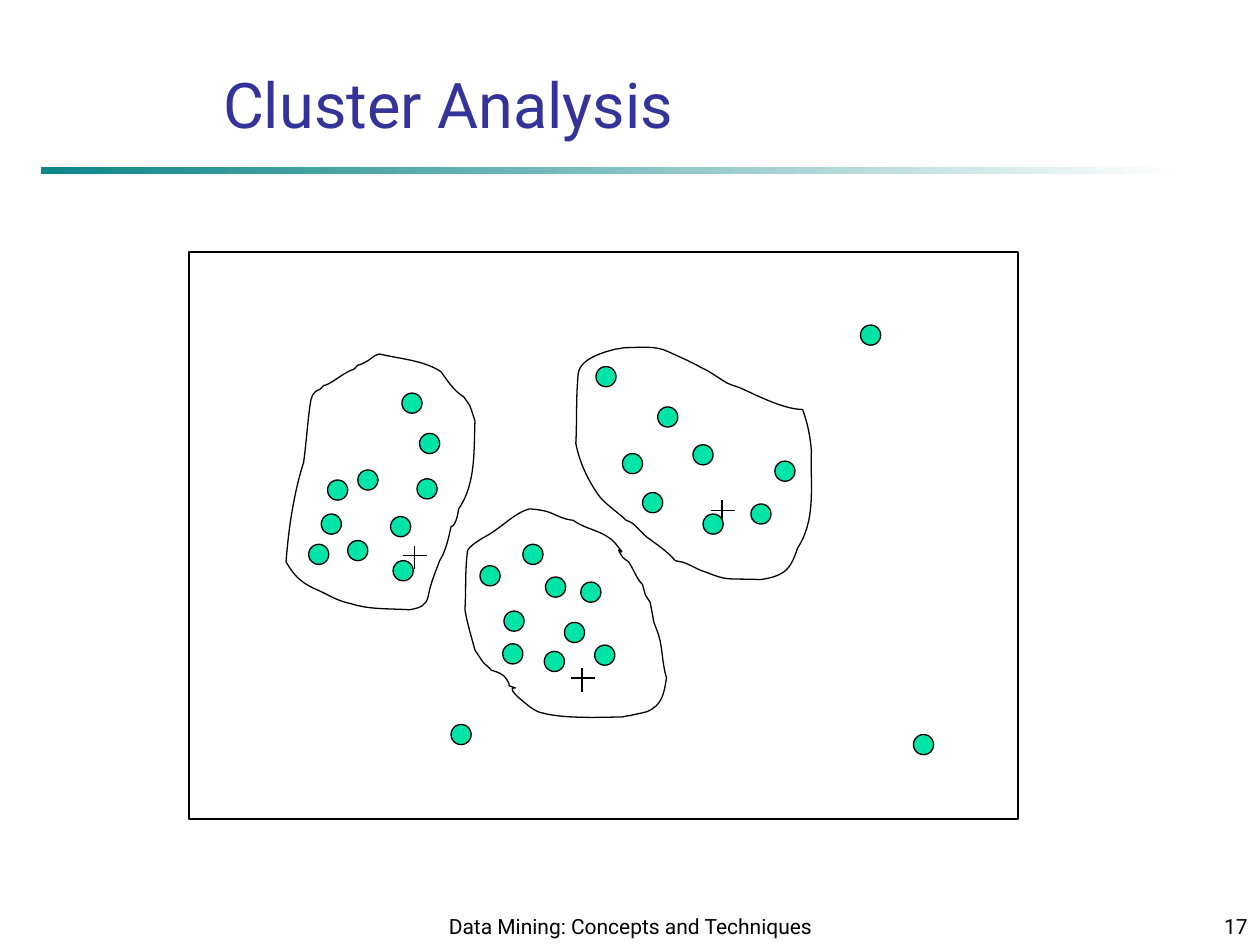
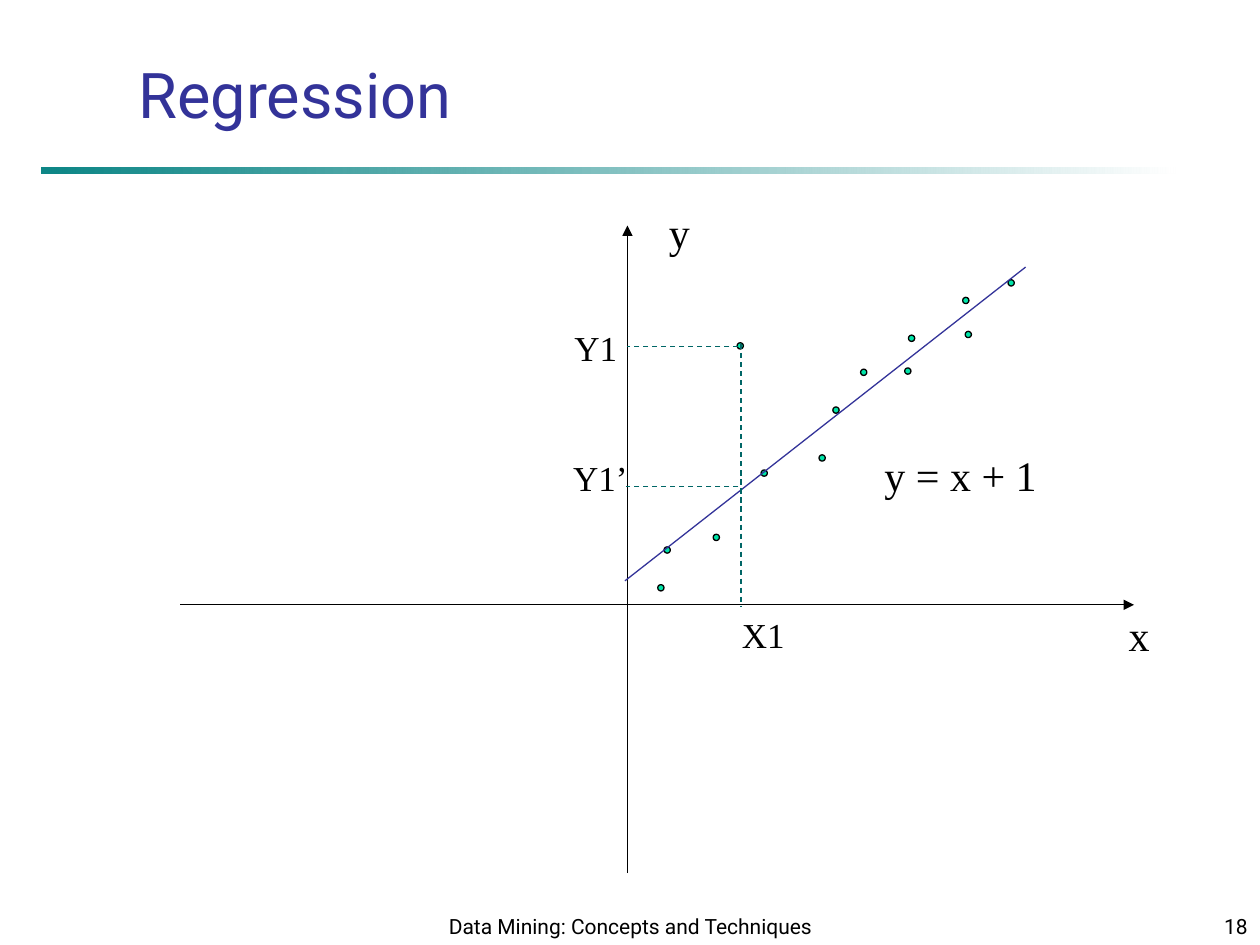
from dataclasses import dataclass

from lxml.etree import SubElement
from pptx import Presentation
from pptx.dml.color import RGBColor as RGB
from pptx.enum.dml import MSO_LINE
from pptx.enum.shapes import MSO_CONNECTOR as CONN, MSO_SHAPE as SHAPE
from pptx.enum.text import MSO_ANCHOR as ANCHOR, MSO_AUTO_SIZE as FIT, PP_ALIGN as ALIGN
from pptx.oxml.ns import qn
from pptx.util import Pt

PX = 9144


@dataclass(frozen=True)
class Theme:
    title: RGB = RGB.from_string("333399")
    band: RGB = RGB.from_string("008080")
    guide: RGB = RGB.from_string("006666")
    dot: RGB = RGB.from_string("00E4A8")
    ink: RGB = RGB.from_string("000000")
    paper: RGB = RGB.from_string("FFFFFF")
    sans: str = "Roboto"
    serif: str = "Times New Roman"
    title_size: int = 36
    axis_size: int = 24
    mark_size: int = 20
    footer_size: int = 12
    line_width: float = 0.75


THEME = Theme()
FOOTER = "Data Mining: Concepts and Techniques"

OUTLIERS = [(725, 583), (358, 575), (683, 258)]
CLUSTER_DOTS = [
    (276, 429), (255, 408), (310, 410), (284, 373), (245, 432), (260, 381),
    (522, 323), (510, 391), (550, 353), (494, 360), (615, 366), (596, 400),
    (312, 445), (381, 449), (558, 408), (461, 462), (432, 517), (448, 494),
    (331, 380), (400, 485), (399, 511), (333, 344), (473, 291), (319, 312),
    (415, 432), (433, 458), (472, 512),
]
CENTROIDS = [(453, 538), (564, 405), (320, 441)]

RIGHT_CLUSTER = (637, 325), [
    (641, 336, 643, 346, 644, 358), (643, 385, 648, 412, 633, 435),
    (631, 441, 628, 450, 622, 454), (616, 458, 610, 459, 604, 460),
    (574, 459, 578, 461, 560, 454), (553, 452, 548, 448, 541, 446),
    (540, 446, 536, 445, 536, 445), (529, 437, 521, 432, 513, 426),
    (507, 421, 504, 415, 497, 413), (491, 407, 480, 400, 475, 393),
    (466, 380, 460, 367, 457, 352), (458, 333, 457, 315, 459, 296),
    (461, 284, 481, 279, 489, 277), (491, 277, 495, 276, 495, 276),
    (507, 276, 520, 274, 530, 279), (539, 283, 548, 287, 557, 292),
    (564, 295, 570, 300, 577, 304), (581, 306, 586, 307, 590, 309),
    (603, 315, 623, 325, 637, 325),
]
LOWER_CLUSTER = (409, 546), [
    (400, 543, 407, 546, 402, 539), (400, 535, 394, 533, 390, 532),
    (388, 529, 385, 528, 383, 525), (381, 522, 377, 516, 377, 516),
    (374, 505, 371, 495, 369, 484), (370, 469, 369, 454, 371, 438),
    (371, 434, 382, 428, 383, 427), (396, 421, 408, 407, 420, 404),
    (424, 404, 432, 405, 437, 407), (444, 410, 447, 412, 455, 413),
    (466, 421, 480, 421, 489, 432), (501, 447, 485, 428, 494, 442),
    (495, 443, 497, 445, 499, 446), (503, 452, 505, 459, 510, 464),
    (513, 475, 511, 470, 516, 478), (517, 483, 518, 488, 519, 494),
    (521, 499, 523, 504, 524, 509), (526, 519, 526, 528, 529, 538),
    (527, 550, 526, 560, 513, 565), (509, 566, 504, 567, 500, 568),
    (498, 568, 494, 569, 494, 569), (485, 569, 449, 571, 431, 566),
    (424, 565, 417, 558, 412, 554), (409, 551, 403, 546, 409, 546),
]
LEFT_CLUSTER = (358, 418), [
    (356, 427, 354, 437, 349, 445), (346, 453, 343, 460, 341, 468),
    (340, 472, 340, 475, 338, 478), (337, 479, 336, 480, 335, 481),
    (332, 483, 325, 484, 325, 484), (309, 483, 293, 484, 278, 479),
    (267, 477, 259, 471, 249, 467), (243, 464, 238, 461, 234, 456),
    (231, 453, 227, 446, 227, 446), (229, 420, 233, 392, 241, 367),
    (243, 352, 244, 337, 246, 322), (247, 315, 248, 311, 254, 309),
    (261, 302, 253, 309, 262, 304), (269, 300, 273, 296, 281, 293),
    (287, 287, 281, 292, 289, 288), (294, 286, 296, 282, 301, 281),
    (318, 285, 336, 286, 350, 295), (355, 302, 360, 310, 368, 315),
    (370, 318, 373, 321, 374, 325), (375, 328, 377, 334, 377, 334),
    (376, 356, 378, 384, 364, 404), (364, 405, 362, 418, 358, 418),
]

SAMPLE_DOTS = [
    (650, 361), (604, 373), (585, 272), (566, 424), (661, 323), (683, 293), (527, 434),
    (718, 292), (721, 266), (766, 263), (522, 464), (764, 236), (800, 222),
]
GUIDES = [(588, 273, 588, 482), (586, 275, 498, 275), (586, 386, 497, 386)]
AXIS_LABELS = [
    ("x", (886, 479, 36, 50)),
    ("y", (521, 159, 36, 50)),
    ("y = x + 1", (692, 352, 141, 50)),
]
MARK_LABELS = [
    ("X1", (579, 482, 54, 44)),
    ("Y1", (446, 254, 54, 44)),
    ("Y1’", (445, 357, 63, 44)),
]


def emu(*lengths):
    return [n * PX for n in lengths]


def put(obj, **values):
    for name, value in values.items():
        setattr(obj, name, value)


def write(shape, text, font, size, color=THEME.ink, align=ALIGN.LEFT, **frame):
    tf = shape.text_frame
    put(tf, **frame)
    p = tf.paragraphs[0]
    p.alignment = align
    r = p.add_run()
    r.text = text
    put(r.font, name=font, size=Pt(size))
    r.font.color.rgb = color


def label(s, text, box, font, size, **values):
    write(s.shapes.add_textbox(*emu(*box)), text, font, size, **values)


def stroke(line, color=THEME.ink):
    line.color.rgb = color
    line.width = Pt(THEME.line_width)


def shape(shapes, kind, box, fill=None):
    sp = shapes.add_shape(kind, *emu(*box))
    sp.shadow.inherit = False
    if fill is None:
        sp.fill.background()
    else:
        sp.fill.solid()
        sp.fill.fore_color.rgb = fill
    stroke(sp.line)
    return sp


def dots(shapes, kind, places, size):
    for x, y in places:
        shape(shapes, kind, (x, y, size, size), THEME.dot)


def line(shapes, ends, color=THEME.ink, dash=None, arrow=False):
    c = shapes.add_connector(CONN.STRAIGHT, *emu(*ends))
    stroke(c.line, color)
    if dash:
        c.line.dash_style = dash
    spPr = c.element.spPr
    if arrow:
        SubElement(spPr.find(qn("a:ln")), qn("a:tailEnd"), type="triangle")
    SubElement(spPr, qn("a:effectLst"))


def cross(s, x, y):
    shapes = s.shapes.add_group_shape().shapes
    line(shapes, (x, y, x + 19, y))
    line(shapes, (x + 9, y + 11, x + 9, y - 8))


def bend(sp):
    legs = sp.element.xpath(".//a:lnTo")
    for i in range(0, len(legs), 3):
        curve = legs[i].makeelement(qn("a:cubicBezTo"))
        legs[i].addprevious(curve)
        for leg in legs[i:i + 3]:
            curve.append(leg[0])
            leg.getparent().remove(leg)


def outline(shapes, start, curves):
    points = [emu(*c[i:i + 2]) for c in curves for i in (0, 2, 4)]
    builder = shapes.build_freeform(*emu(*start), scale=1.0)
    builder.add_line_segments(points, close=True)
    sp = builder.convert_to_shape()
    bend(sp)
    sp.shadow.inherit = False
    sp.fill.background()
    stroke(sp.line)


def add_band(s, layout):
    band = shape(s.shapes, SHAPE.RECTANGLE, (33, 133, 900, 5))
    band.line.fill.background()
    band.fill.gradient()
    band.fill.gradient_angle = 180
    for stop, color, position in zip(band.fill.gradient_stops, (THEME.paper, THEME.band), (0, 1)):
        stop.color.rgb = color
        stop.position = position
    teal = band.element.xpath(".//a:gs[2]/a:srgbClr")[0]
    SubElement(teal, qn("a:alpha"), val="95000")
    band.element.nvSpPr.cNvPr.id = 99
    layout.shapes.element.append(band.element)


def new_slide(prs, layout, title, box):
    s = prs.slides.add_slide(layout)
    sp = s.shapes.title
    put(sp, **dict(zip(("left", "top", "width", "height"), emu(*box))))
    write(sp, title, THEME.sans, THEME.title_size, THEME.title,
          vertical_anchor=ANCHOR.BOTTOM, word_wrap=True, auto_size=FIT.NONE)
    return s


def footer(s, number):
    for text, box, align in (
        (FOOTER, (342, 708, 317, 42), ALIGN.CENTER),
        (str(number), (792, 708, 208, 42), ALIGN.RIGHT),
    ):
        label(s, text, box, THEME.sans, THEME.footer_size, align=align,
              vertical_anchor=ANCHOR.BOTTOM, word_wrap=True)


def draw_clusters(s):
    dots(s.shapes, SHAPE.FLOWCHART_CONNECTOR, OUTLIERS, 16)
    for x, y in CENTROIDS:
        cross(s, x, y)
    shapes = s.shapes.add_group_shape().shapes
    shape(shapes, SHAPE.RECTANGLE, (150, 200, 658, 450))
    dots(shapes, SHAPE.FLOWCHART_CONNECTOR, CLUSTER_DOTS, 16)
    for start, curves in (RIGHT_CLUSTER, LOWER_CLUSTER, LEFT_CLUSTER):
        outline(shapes, start, curves)


def draw_regression(s):
    for axis in ((143, 480, 900, 480), (498, 693, 498, 179)):
        line(s.shapes, axis, arrow=True)
    dots(s.shapes, SHAPE.OVAL, SAMPLE_DOTS, 5)
    line(s.shapes, (496, 461, 814, 212), THEME.title)
    for guide in GUIDES:
        line(s.shapes, guide, THEME.guide, MSO_LINE.DASH)
    for labels, size in ((AXIS_LABELS, THEME.axis_size), (MARK_LABELS, THEME.mark_size)):
        for text, box in labels:
            label(s, text, box, THEME.serif, size,
                  word_wrap=False, auto_size=FIT.SHAPE_TO_FIT_TEXT)


def main():
    prs = Presentation()
    put(prs, slide_width=1000 * PX, slide_height=750 * PX)
    layout = prs.slide_layouts[5]

    s = new_slide(prs, layout, "Cluster Analysis", (167, 50, 475, 67))
    add_band(s, layout)
    draw_clusters(s)
    footer(s, 17)

    s = new_slide(prs, layout, "Regression", (100, 42, 525, 67))
    draw_regression(s)
    footer(s, 18)

    prs.save("out.pptx")


if __name__ == "__main__":
    main()
